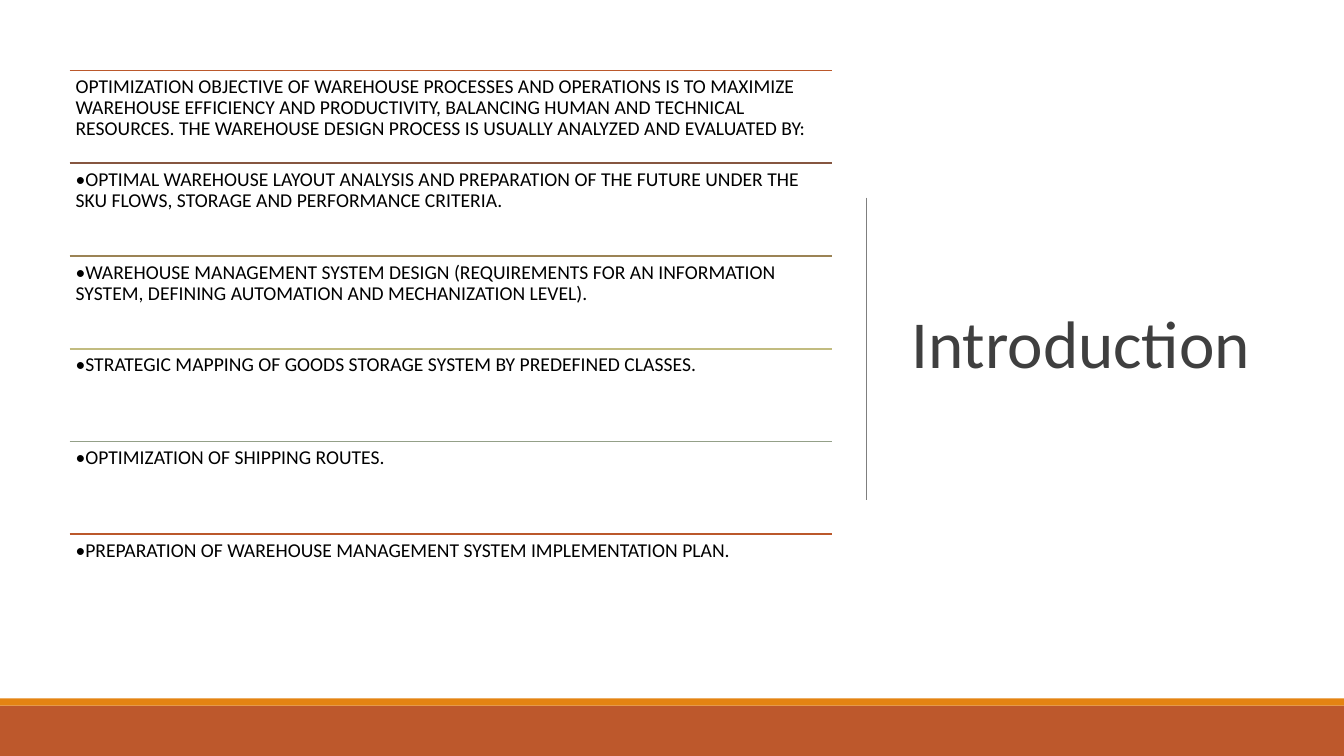
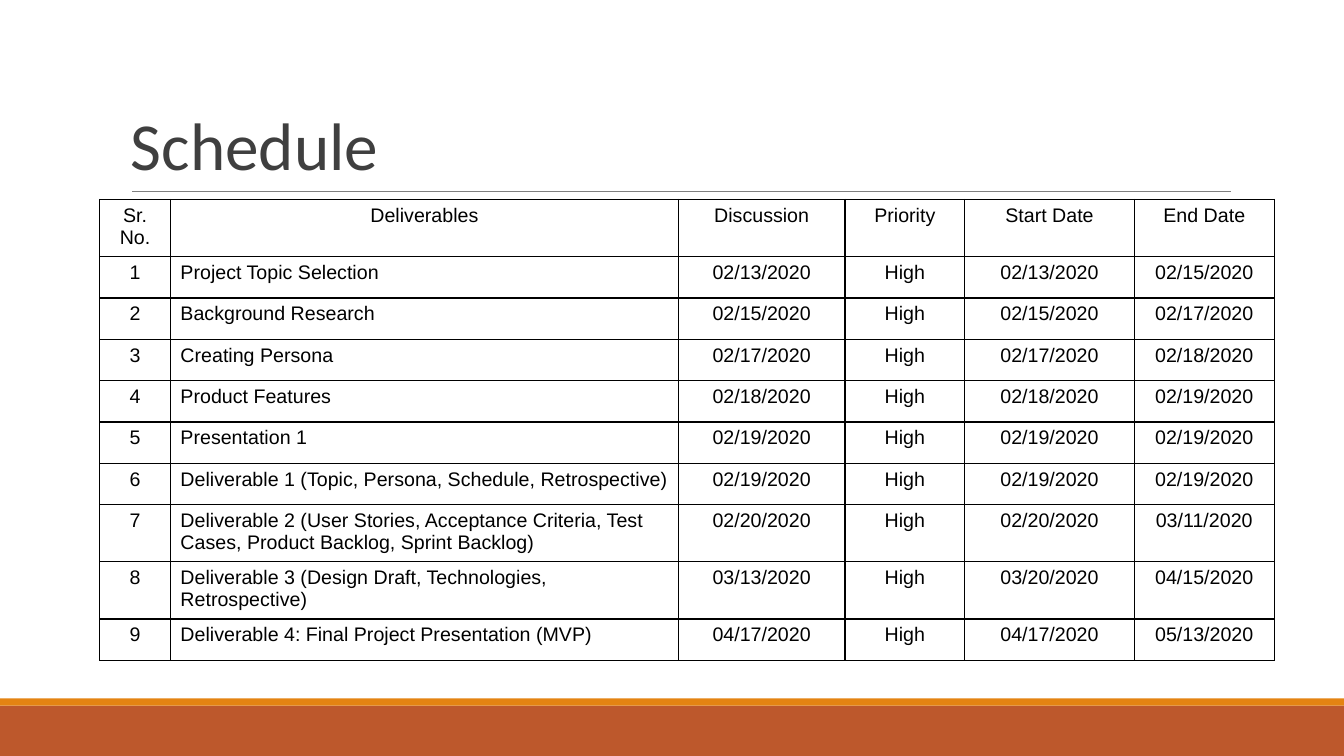
from lxml import etree
from pptx import Presentation
from pptx.dml.color import RGBColor
from pptx.enum.shapes import MSO_CONNECTOR, MSO_SHAPE
from pptx.enum.text import MSO_ANCHOR, PP_ALIGN
from pptx.oxml.ns import qn
from pptx.util import Emu, Pt

PX = 9144
WIDTH, HEIGHT = 1333, 750
RECT = MSO_SHAPE.RECTANGLE
STRAIGHT = MSO_CONNECTOR.STRAIGHT
TOP, MIDDLE, BOTTOM = MSO_ANCHOR.TOP, MSO_ANCHOR.MIDDLE, MSO_ANCHOR.BOTTOM
LEFT, CENTER = PP_ALIGN.LEFT, PP_ALIGN.CENTER

COLORS = {
    "title": "3F3F3F",
    "text": "000000",
    "rule": "7F7F7F",
    "stripe": "E48312",
    "footer": "BD582C",
    "rust": "BB582B",
    "brown": "865640",
    "tan": "9B8355",
    "sand": "C2BC80",
    "sage": "94A088",
}

OBJECTIVES = [
    ("rust", "OPTIMIZATION OBJECTIVE OF WAREHOUSE PROCESSES AND OPERATIONS IS TO MAXIMIZE "
             "WAREHOUSE EFFICIENCY AND PRODUCTIVITY, BALANCING HUMAN AND TECHNICAL "
             "RESOURCES. THE WAREHOUSE DESIGN PROCESS IS USUALLY ANALYZED AND EVALUATED BY:"),
    ("brown", "•OPTIMAL WAREHOUSE LAYOUT ANALYSIS AND PREPARATION OF THE FUTURE UNDER THE "
              "SKU FLOWS, STORAGE AND PERFORMANCE CRITERIA."),
    ("tan", "•WAREHOUSE MANAGEMENT SYSTEM DESIGN (REQUIREMENTS FOR AN INFORMATION "
            "SYSTEM, DEFINING AUTOMATION AND MECHANIZATION LEVEL)."),
    ("sand", "•STRATEGIC MAPPING OF GOODS STORAGE SYSTEM BY PREDEFINED CLASSES."),
    ("sage", "•OPTIMIZATION OF SHIPPING ROUTES."),
    ("rust", "•PREPARATION OF WAREHOUSE MANAGEMENT SYSTEM IMPLEMENTATION PLAN."),
]

COLUMN_WIDTHS = [70, 504, 165, 119, 168, 139]
ROW_HEIGHT = 41
SCHEDULE = [
    ("Sr. No.", "Deliverables", "Discussion", "Priority", "Start Date", "End Date"),
    ("1", "Project Topic Selection", "02/13/2020", "High", "02/13/2020", "02/15/2020"),
    ("2", "Background Research", "02/15/2020", "High", "02/15/2020", "02/17/2020"),
    ("3", "Creating Persona", "02/17/2020", "High", "02/17/2020", "02/18/2020"),
    ("4", "Product Features", "02/18/2020", "High", "02/18/2020", "02/19/2020"),
    ("5", "Presentation 1", "02/19/2020", "High", "02/19/2020", "02/19/2020"),
    ("6", "Deliverable 1 (Topic, Persona, Schedule, Retrospective)",
     "02/19/2020", "High", "02/19/2020", "02/19/2020"),
    ("7", "Deliverable 2 (User Stories, Acceptance Criteria, Test Cases, "
          "Product Backlog, Sprint Backlog)",
     "02/20/2020", "High", "02/20/2020", "03/11/2020"),
    ("8", "Deliverable 3 (Design Draft, Technologies, Retrospective)",
     "03/13/2020", "High", "03/20/2020", "04/15/2020"),
    ("9", "Deliverable 4: Final Project Presentation (MVP)",
     "04/17/2020", "High", "04/17/2020", "05/13/2020"),
]


def px(*values):
    return [Emu(v * PX) for v in values]


def rgb(name):
    return RGBColor.from_string(COLORS[name])


def add_run(p, text, size, color, font="Calibri"):
    r = p.add_run()
    r.text = text
    r.font.size = Pt(size)
    r.font.name = font
    r.font.color.rgb = rgb(color)


def add_text(slide, box, text, size, color, spacing, margins, anchor=TOP):
    tf = slide.shapes.add_textbox(*px(*box)).text_frame
    tf.word_wrap = True
    tf.vertical_anchor = anchor
    tf.margin_left, tf.margin_top = px(*margins)
    tf.margin_right, tf.margin_bottom = px(*margins)
    p = tf.paragraphs[0]
    p.line_spacing = spacing
    add_run(p, text, size, color)


def add_title(slide, box, text, anchor):
    add_text(slide, box, text, 48, "title", 0.85, (10, 5), anchor)


def add_band(slide, top, height, color):
    sp = slide.shapes.add_shape(RECT, *px(0, top, WIDTH, height))
    sp.shadow.inherit = False
    sp.fill.solid()
    sp.fill.fore_color.rgb = rgb(color)
    sp.line.fill.background()


def add_line(slide, ends, color, width):
    line = slide.shapes.add_connector(STRAIGHT, *px(*ends))
    line.line.color.rgb = rgb(color)
    line.line.width = Pt(width)
    etree.SubElement(line._element.spPr, qn("a:effectLst"))


def add_borders(cell, color, width):
    tcPr = cell._tc.get_or_add_tcPr()
    for side in ("a:lnL", "a:lnR", "a:lnT", "a:lnB"):
        ln = etree.SubElement(tcPr, qn(side), w=str(Pt(width)))
        fill = etree.SubElement(ln, qn("a:solidFill"))
        etree.SubElement(fill, qn("a:srgbClr"), val=COLORS[color])


def add_table(slide, left, top, widths, rows):
    box = px(left, top, sum(widths), ROW_HEIGHT * len(rows))
    table = slide.shapes.add_table(len(rows), len(widths), *box).table
    table.first_row = table.horz_banding = False
    for column, width in zip(table.columns, px(*widths)):
        column.width = width
    for i, row in enumerate(rows):
        table.rows[i].height = Emu(ROW_HEIGHT * PX)
        for j, text in enumerate(row):
            cell = table.cell(i, j)
            add_borders(cell, "text", 1)
            cell.fill.background()
            p = cell.text_frame.paragraphs[0]
            p.alignment = LEFT if i and j == 1 else CENTER
            add_run(p, text, 14, "text", "Arial")


def add_slide(prs):
    slide = prs.slides.add_slide(prs.slide_layouts[6])
    add_band(slide, 700, 50, "footer")
    add_band(slide, 693, 7, "stripe")
    return slide


def build_introduction(prs):
    slide = add_slide(prs)
    add_title(slide, (894, 69, 369, 553), "Introduction", MIDDLE)
    add_line(slide, (859, 196, 859, 496), "rule", 0.75)
    left, top, width, step = 69, 70, 756, 92
    for i, (color, text) in enumerate(OBJECTIVES):
        y = top + i * step
        add_line(slide, (left, y, left + width, y), color, 1.25)
        add_text(slide, (left, y, width, step), text, 14, "text", 0.9, (6, 6))


def build_schedule(prs):
    slide = add_slide(prs)
    add_line(slide, (131, 190, 1221, 190), "rule", 0.75)
    add_title(slide, (120, 29, 1100, 159), "Schedule", BOTTOM)
    add_table(slide, 99, 198, COLUMN_WIDTHS, SCHEDULE)


def main():
    prs = Presentation()
    prs.slide_width, prs.slide_height = px(WIDTH, HEIGHT)
    build_introduction(prs)
    build_schedule(prs)
    prs.save("out.pptx")


if __name__ == "__main__":
    main()
